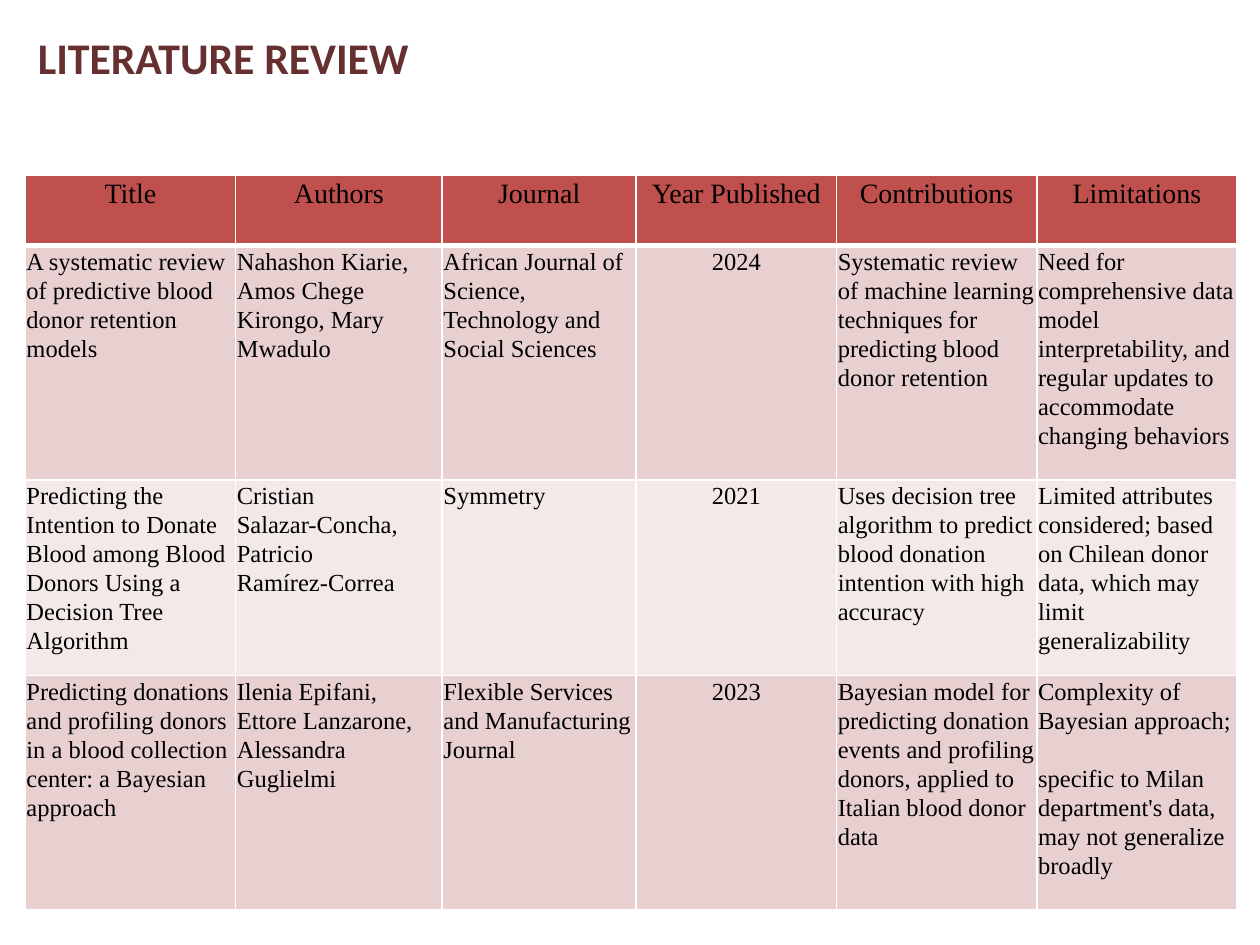
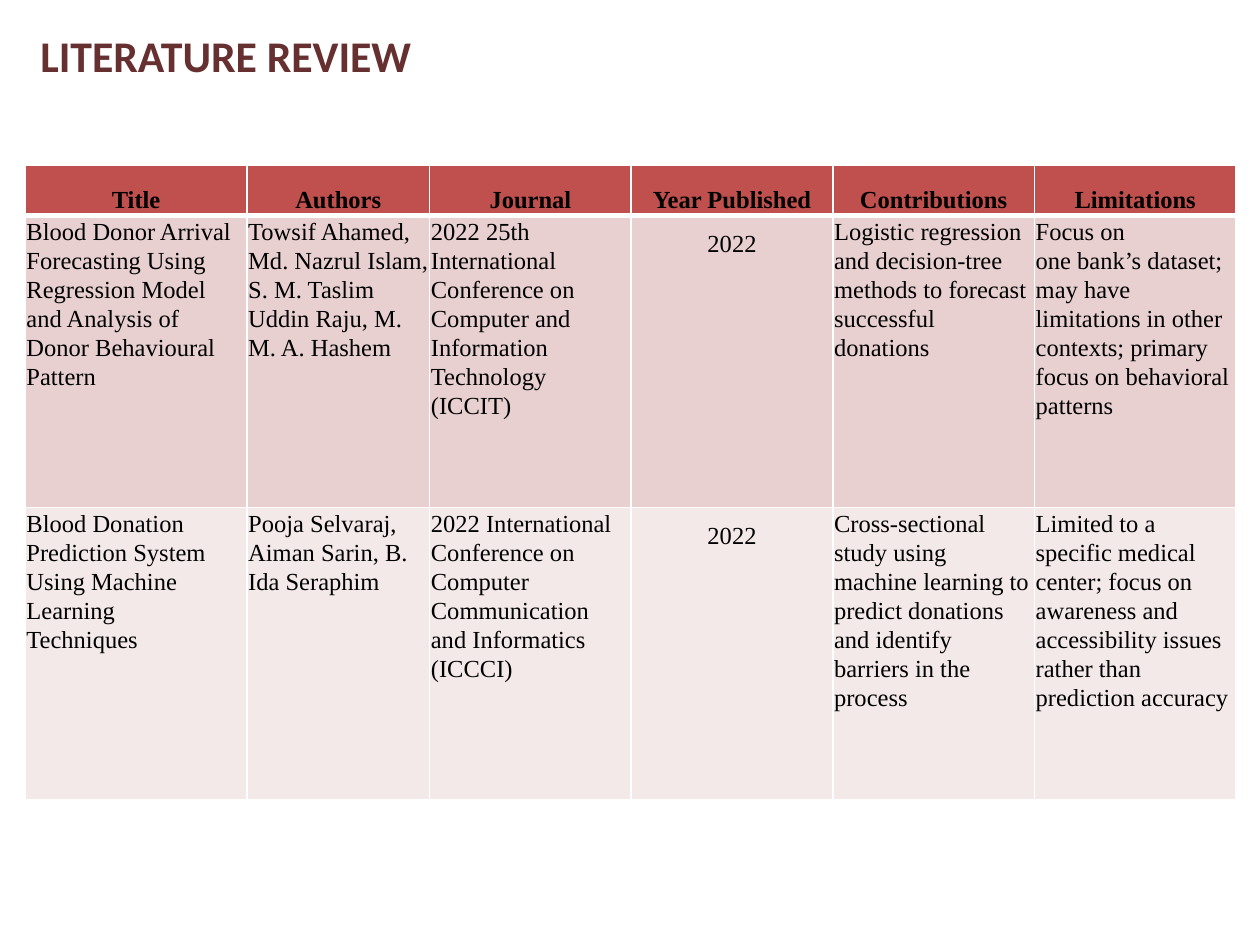
from copy import deepcopy

from lxml import etree
from pptx import Presentation
from pptx.dml.color import RGBColor
from pptx.enum import text as t
from pptx.oxml.ns import qn
from pptx.util import Inches, Pt

# Shared look
TITLE = RGBColor(0x66, 0x2F, 0x30)
INK = RGBColor(0, 0, 0)
HEAD = RGBColor(0xC0, 0x50, 0x4D)
BANDS = [RGBColor(0xE8, 0xD0, 0xD0), RGBColor(0xF4, 0xE9, 0xE9)]
RULE = RGBColor(0xFF, 0xFF, 0xFF)
SANS, SERIF = "Calibri", "Times New Roman"
PAD = Inches(0.01)
YEAR = 3  # index of the centred column

LABELS = ["Title", "Authors", "Journal", "Year Published",
          "Contributions", "Limitations"]

# Papers on the first slide
MODELS = [
    ["A systematic review of predictive blood \ndonor retention \nmodels",
     "Nahashon Kiarie, \nAmos Chege \nKirongo, Mary \nMwadulo",
     "African Journal of Science, \nTechnology and \nSocial Sciences",
     "2024",
     "Systematic review of machine learning techniques for \n"
     "predicting blood \ndonor retention",
     "Need for \ncomprehensive data model \ninterpretability, and regular "
     "updates to accommodate \nchanging behaviors"],
    ["Predicting the \nIntention to Donate Blood among Blood Donors Using a \n"
     "Decision Tree \nAlgorithm",
     "Cristian \nSalazar-Concha, \nPatricio \nRamírez-Correa",
     "Symmetry",
     "2021",
     "Uses decision tree \nalgorithm to predict blood donation \n"
     "intention with high accuracy",
     "Limited attributes \nconsidered; based \non Chilean donor \n"
     "data, which may \nlimit \ngeneralizability"],
    ["Predicting donations and profiling donors in a blood collection "
     "center: a Bayesian \napproach",
     "Ilenia Epifani, \nEttore Lanzarone, \nAlessandra \nGuglielmi",
     "Flexible Services \nand Manufacturing Journal",
     "2023",
     "Bayesian model for predicting donation events and profiling donors, "
     "applied to \nItalian blood donor data",
     "Complexity of Bayesian approach; \nspecific to Milan \n"
     "department's data, may not generalize broadly"],
]

# Papers on the second slide
FORECASTS = [
    ["Blood Donor Arrival Forecasting Using \nRegression Model \n"
     "and Analysis of \nDonor Behavioural \nPattern",
     "Towsif Ahamed, Md. Nazrul Islam, S. M. Taslim \n"
     "Uddin Raju, M. M. A. Hashem",
     "2022 25th International Conference on Computer and \n"
     "Information \nTechnology \n(ICCIT)",
     "2022",
     "Logistic regression and decision-tree \n"
     "methods to forecast successful \ndonations",
     "Focus on \none bank’s dataset; may have \nlimitations in other "
     "contexts; primary \nfocus on behavioral patterns"],
    ["Blood Donation \nPrediction System \nUsing Machine \nLearning \n"
     "Techniques",
     "Pooja Selvaraj, \nAiman Sarin, B. \nIda Seraphim",
     "2022 International Conference on \nComputer \nCommunication \n"
     "and Informatics \n(ICCCI)",
     "2022",
     "Cross-sectional \nstudy using \nmachine learning to predict donations \n"
     "and identify barriers in the process",
     "Limited to a \nspecific medical \ncenter; focus on \nawareness and \n"
     "accessibility issues rather than \nprediction accuracy"],
]


def write(frame, words, size, font=SERIF, color=INK, bold=False,
          align=t.PP_ALIGN.LEFT, line=None, after=None):
    """Fill a text frame with one formatted paragraph."""
    para = frame.paragraphs[0]
    para.text = words
    para.alignment = align
    if line:
        para.line_spacing = line
    if after:
        para.space_after = Pt(after)
    for run in para.runs:
        run.font.size = Pt(size)
        run.font.name = font
        run.font.bold = bold
        run.font.color.rgb = color
    # Line breaks take the format of the text around them
    for gap in para._p.findall(qn("a:br")):
        gap.append(deepcopy(para.runs[0]._r.rPr))


def edge(cell, **widths):
    """Rule the sides of a cell; widths are in points."""
    props = cell._tc.get_or_add_tcPr()
    for side in "LRTB":
        ln = etree.SubElement(props, qn("a:ln" + side),
                              w=str(Pt(widths.get(side, 1))))
        fill = etree.SubElement(ln, qn("a:solidFill"))
        etree.SubElement(fill, qn("a:srgbClr"), val=str(RULE))


def heading(slide, left, top):
    box = slide.shapes.title
    box.left, box.top = Inches(left), Inches(top)
    box.width, box.height = Inches(8.38), Inches(0.87)
    frame = box.text_frame
    frame.auto_size = t.MSO_AUTO_SIZE.NONE
    frame.vertical_anchor = t.MSO_ANCHOR.MIDDLE
    write(frame, "LITERATURE REVIEW", 25, SANS, TITLE, True)


def review(slide, left, top, cols, rows, papers, head, gap):
    """Table of papers; head formats the labels, gap spaces the years."""
    grid = slide.shapes.add_table(
        len(rows), len(cols), Inches(left), Inches(top),
        Inches(sum(cols)), Inches(sum(rows))).table
    for col, wide in zip(grid.columns, cols):
        col.width = Inches(wide)
    for row, tall in zip(grid.rows, rows):
        row.height = Inches(tall)

    for r, line in enumerate([LABELS] + papers):
        for c, words in enumerate(line):
            cell = grid.cell(r, c)
            cell.margin_left = cell.margin_right = PAD
            cell.margin_top = cell.margin_bottom = PAD
            edge(cell, T=3 if r == 1 else 1, B=3 if r == 0 else 1)
            cell.fill.solid()
            cell.fill.fore_color.rgb = BANDS[(r - 1) % 2] if r else HEAD
            mid = r == 0 or c == YEAR
            look = dict(size=14, after=8,
                        line=gap if r and c == YEAR else 1.07,
                        align=t.PP_ALIGN.CENTER if mid else t.PP_ALIGN.LEFT)
            if r == 0:
                look.update(head)
                if head.get("bold"):
                    cell.vertical_anchor = t.MSO_ANCHOR.BOTTOM
            write(cell.text_frame, words, **look)


def main():
    deck = Presentation()
    deck.slide_width, deck.slide_height = Inches(10), Inches(7.5)
    plain = deck.slide_layouts[5]

    # Retention and intention models
    first = deck.slides.add_slide(plain)
    heading(first, 0.2, 0.02)
    review(first, 0.2, 1.39, [1.67, 1.64, 1.54] + [1.59] * 3,
           [0.56, 1.86, 1.55, 1.86], MODELS, dict(size=16), 1.07)

    # Forecasting systems
    second = deck.slides.add_slide(plain)
    heading(second, 0.22, 0)
    review(second, 0.2, 1.31, [1.76, 1.45] + [1.6] * 4,
           [0.4, 2.32, 2.32], FORECASTS, dict(bold=True), 1.5)

    deck.save("out.pptx")


if __name__ == "__main__":
    main()
